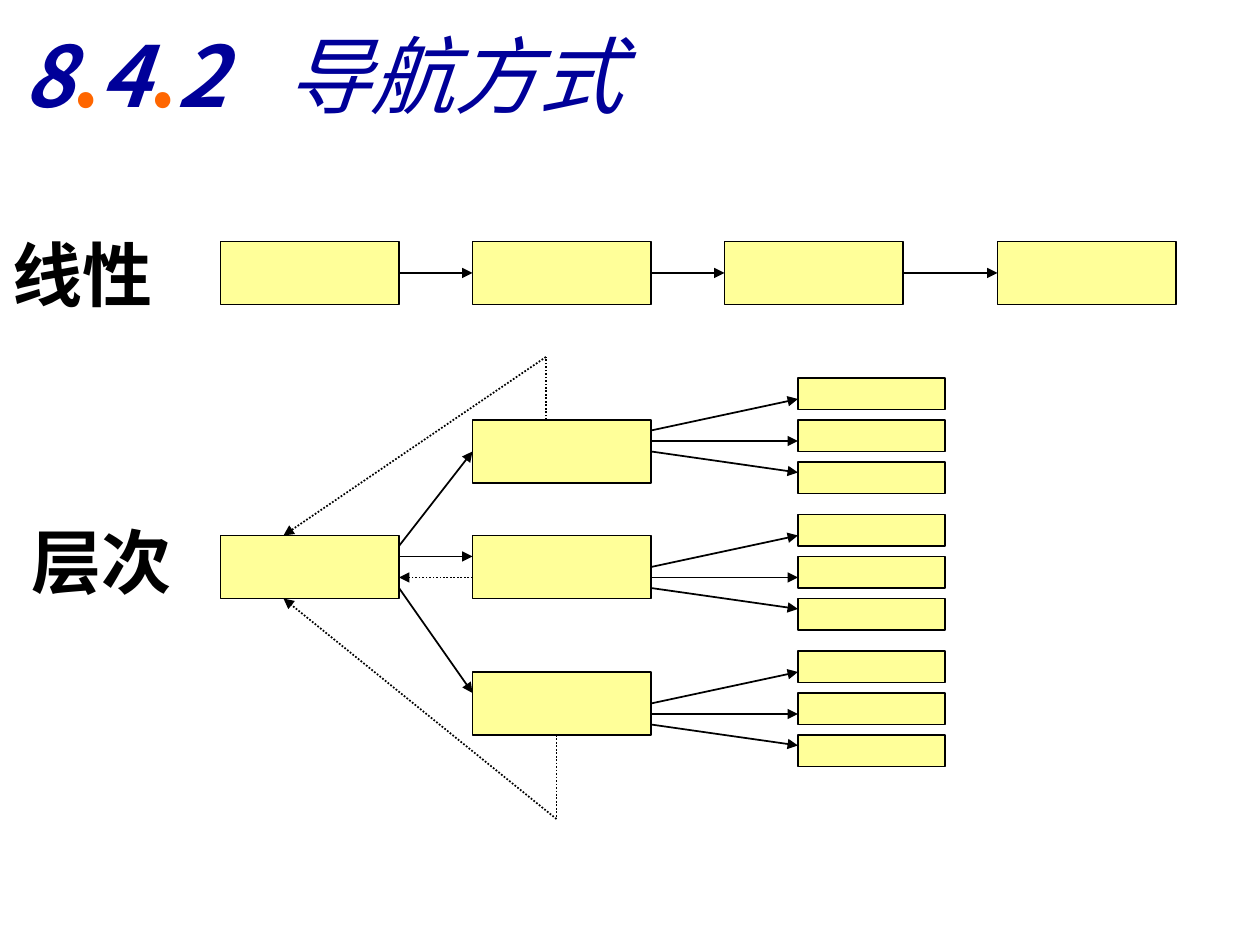
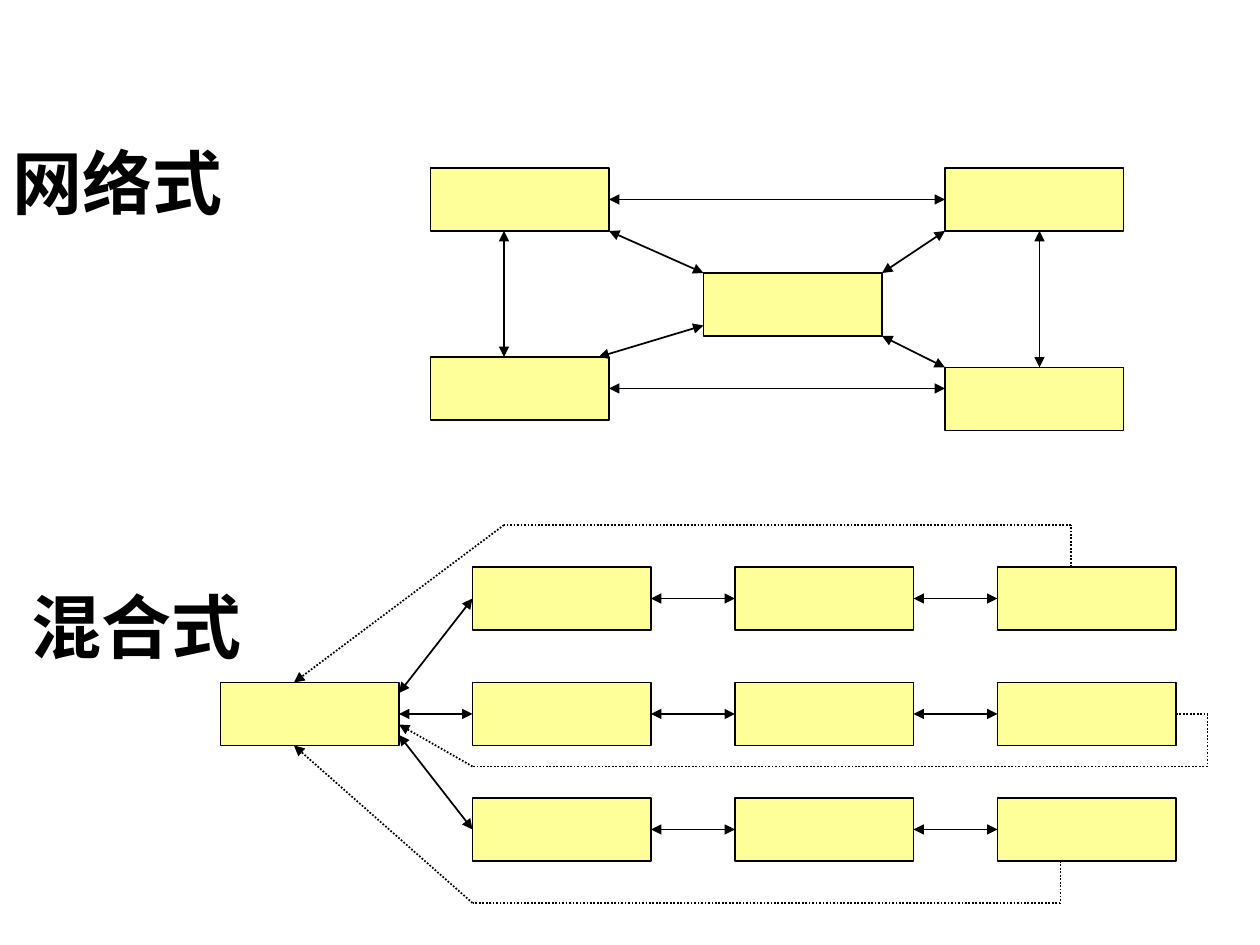
"""Builds two slides that show linear, hierarchical, network and mixed navigation."""
from lxml import etree
from pptx import Presentation
from pptx import util as u
from pptx.dml.color import RGBColor
from pptx.enum import dml, shapes, text
from pptx.oxml.ns import qn

COLUMNS, ROWS = 120, 90
CELL = u.Inches(10) // COLUMNS
FONT = "Noto Sans CJK SC"
BLACK = RGBColor(0x00, 0x00, 0x00)
NAVY = RGBColor(0x00, 0x00, 0x99)
ORANGE = RGBColor(0xFF, 0x66, 0x00)
YELLOW = RGBColor(0xFF, 0xFF, 0x99)
PAGE_SIZE = (17, 6)
LEAF_SIZE = (14, 3)


def grid(*cells):
    """Turn grid columns and rows into lengths."""
    return [u.Emu(round(cell * CELL)) for cell in cells]


def add_span(para, words, size=40, color=BLACK, bold=True, italic=False):
    """Add formatted text to a paragraph."""
    span = para.add_run()
    span.text = words
    font = span.font
    font.name, font.size, font.bold, font.italic = FONT, u.Pt(size), bold, italic
    font.color.rgb = color
    etree.SubElement(font._element, qn("a:ea")).set("typeface", FONT)


def add_title(page):
    """Format the title placeholder with navy numbers and orange dots."""
    title = page.shapes.title
    title.left, title.top, title.width, title.height = grid(1, 0, 116, 14)
    frame = title.text_frame
    frame.auto_size = text.MSO_AUTO_SIZE.NONE
    frame.vertical_anchor = text.MSO_ANCHOR.MIDDLE
    para = frame.paragraphs[0]
    para.alignment = text.PP_ALIGN.LEFT
    tabs = etree.SubElement(para._p.get_or_add_pPr(), qn("a:tabLst"))
    etree.SubElement(tabs, qn("a:tab"), pos=str(u.Inches(2.09)), algn="l")
    for mark in "8.4.2":
        dot = mark == "."
        add_span(para, mark, size=48, color=ORANGE if dot else NAVY, italic=not dot)
    add_span(para, "\t导航方式", size=48, color=NAVY, bold=False, italic=True)


def add_label(page, words, left, top):
    """Add the bold name of a navigation style."""
    box = page.shapes.add_textbox(*grid(left, top, 6 + 7 * len(words), 9))
    box.text_frame.word_wrap = True
    add_span(box.text_frame.paragraphs[0], words)


def add_box(page, left, top, size=PAGE_SIZE):
    """Add a yellow box that stands for a page."""
    box = page.shapes.add_shape(shapes.MSO_SHAPE.RECTANGLE, *grid(left, top, *size))
    box.shadow.inherit = False
    box.fill.solid()
    box.fill.fore_color.rgb = YELLOW
    box.line.color.rgb = BLACK
    box.line.width = u.Pt(1)


def add_route(page, *points, both=False, dotted=False):
    """Join points by lines, with an arrowhead at the end or at both ends."""
    for number, (start, end) in enumerate(zip(points, points[1:]), 2):
        link = page.shapes.add_connector(
            shapes.MSO_CONNECTOR.STRAIGHT, *grid(*start, *end))
        link.line.color.rgb = BLACK
        link.line.width = u.Pt(1)
        if dotted:
            link.line.dash_style = dml.MSO_LINE.ROUND_DOT
        outline = link._element.spPr.get_or_add_ln()
        if both:
            etree.SubElement(outline, qn("a:headEnd"), type="triangle")
        if number == len(points):
            etree.SubElement(outline, qn("a:tailEnd"), type="triangle")
        etree.SubElement(link._element.spPr, qn("a:effectLst"))


def draw_linear(page):
    """Draw four pages in a row."""
    add_label(page, "线性", 0, 21.5)
    lefts = (21, 45, 69, 95)
    for left in lefts:
        add_box(page, left, 23)
    for left, following in zip(lefts, lefts[1:]):
        add_route(page, (left + PAGE_SIZE[0], 26), (following, 26))


def draw_hierarchy(page):
    """Draw a root, three branches with three leaves each, and the ways back."""
    add_label(page, "层次", 1.8, 48.8)
    add_box(page, 21, 51)
    for branch_top, leaf_top in ((40, 36), (51, 49), (64, 62)):
        add_box(page, 45, branch_top)
        for step in range(3):
            add_box(page, 76, leaf_top + 4 * step, size=LEAF_SIZE)
        for start, end in ((5, 2), (6, 6), (7, 9)):
            add_route(page, (62, leaf_top + start), (76, leaf_top + end))
    for start, end in ((52, 43), (53, 53), (56, 66)):
        add_route(page, (38, start), (45, end))
    add_route(page, (52, 40), (52, 34), (27, 51), dotted=True)
    add_route(page, (45, 55), (38, 55), dotted=True)
    add_route(page, (53, 70), (53, 78), (27, 57), dotted=True)


def draw_network(page):
    """Draw four outer pages linked to each other and to a central page."""
    add_label(page, "网络式", 0, 12.7)
    for left, top in ((41, 16), (90, 16), (67, 26), (41, 34), (90, 35)):
        add_box(page, left, top)
    links = (
        ((48, 22), (48, 34)), ((99, 22), (99, 35)),
        ((58, 19), (90, 19)), ((58, 37), (90, 37)),
        ((58, 22), (67, 26)), ((57, 34), (67, 31)),
        ((84, 26), (90, 22)), ((84, 32), (90, 35)),
    )
    for start, end in links:
        add_route(page, start, end, both=True)


def draw_mixed(page):
    """Draw a root with three two-way chains and dotted ways back."""
    add_label(page, "混合式", 1.8, 55)
    add_box(page, 21, 65)
    lefts = (45, 70, 95)
    for top, start in ((54, 66), (65, 68), (76, 70)):
        middle = top + PAGE_SIZE[1] / 2
        add_route(page, (38, start), (45, middle), both=True)
        for left in lefts:
            add_box(page, left, top)
        for left, following in zip(lefts, lefts[1:]):
            add_route(page, (left + PAGE_SIZE[0], middle), (following, middle), both=True)
    add_route(page, (102, 54), (102, 50), (48, 50), (28, 65), dotted=True)
    add_route(page, (112, 68), (115, 68), (115, 73), (45, 73), (38, 69), dotted=True)
    add_route(page, (101, 82), (101, 86), (45, 86), (28, 71), dotted=True)


def main():
    """Build and save the deck."""
    deck = Presentation()
    deck.slide_width, deck.slide_height = grid(COLUMNS, ROWS)
    title_only, blank = deck.slide_layouts[5], deck.slide_layouts[6]
    page = deck.slides.add_slide(title_only)
    add_title(page)
    draw_linear(page)
    draw_hierarchy(page)
    page = deck.slides.add_slide(blank)
    draw_network(page)
    draw_mixed(page)
    deck.save("out.pptx")


if __name__ == "__main__":
    main()
